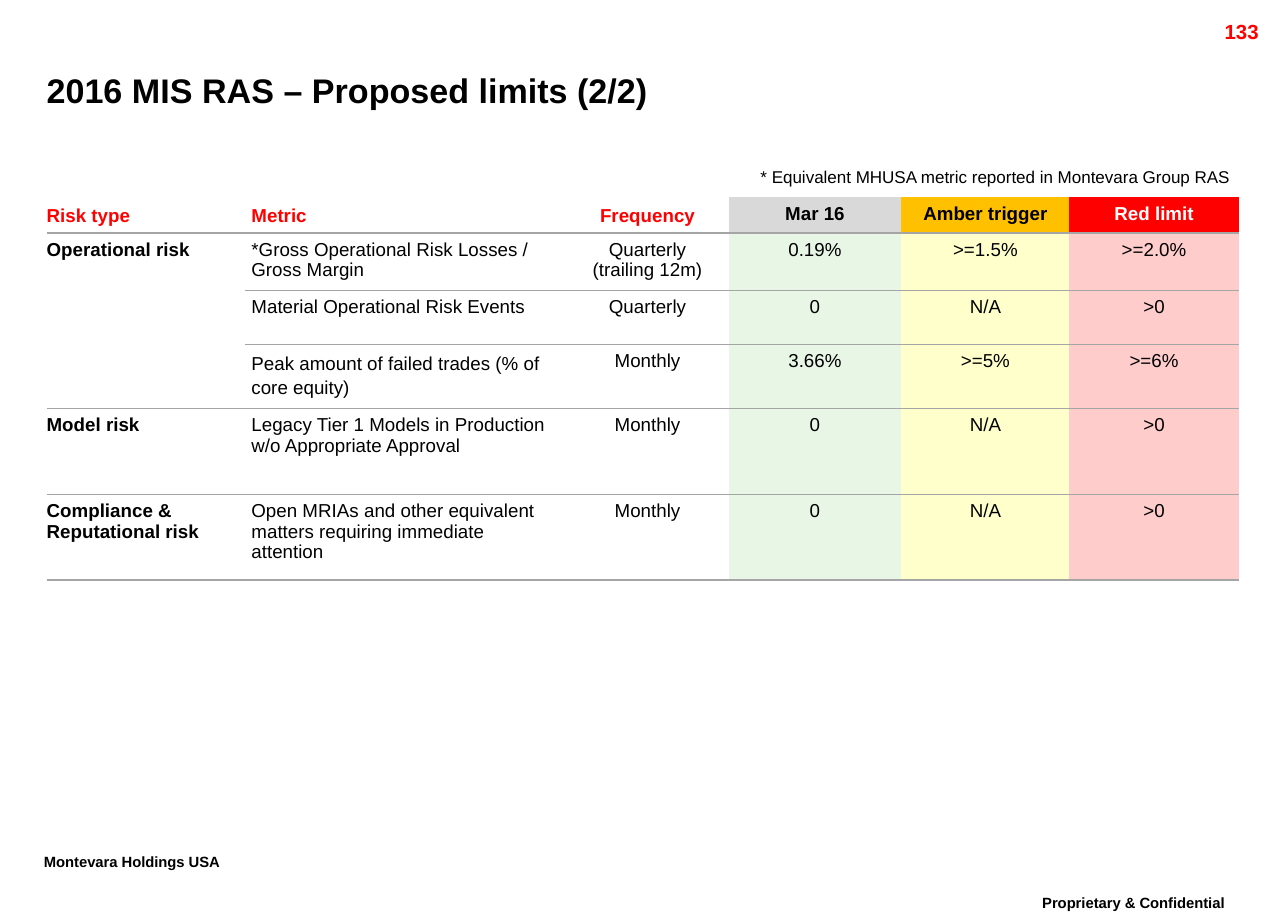
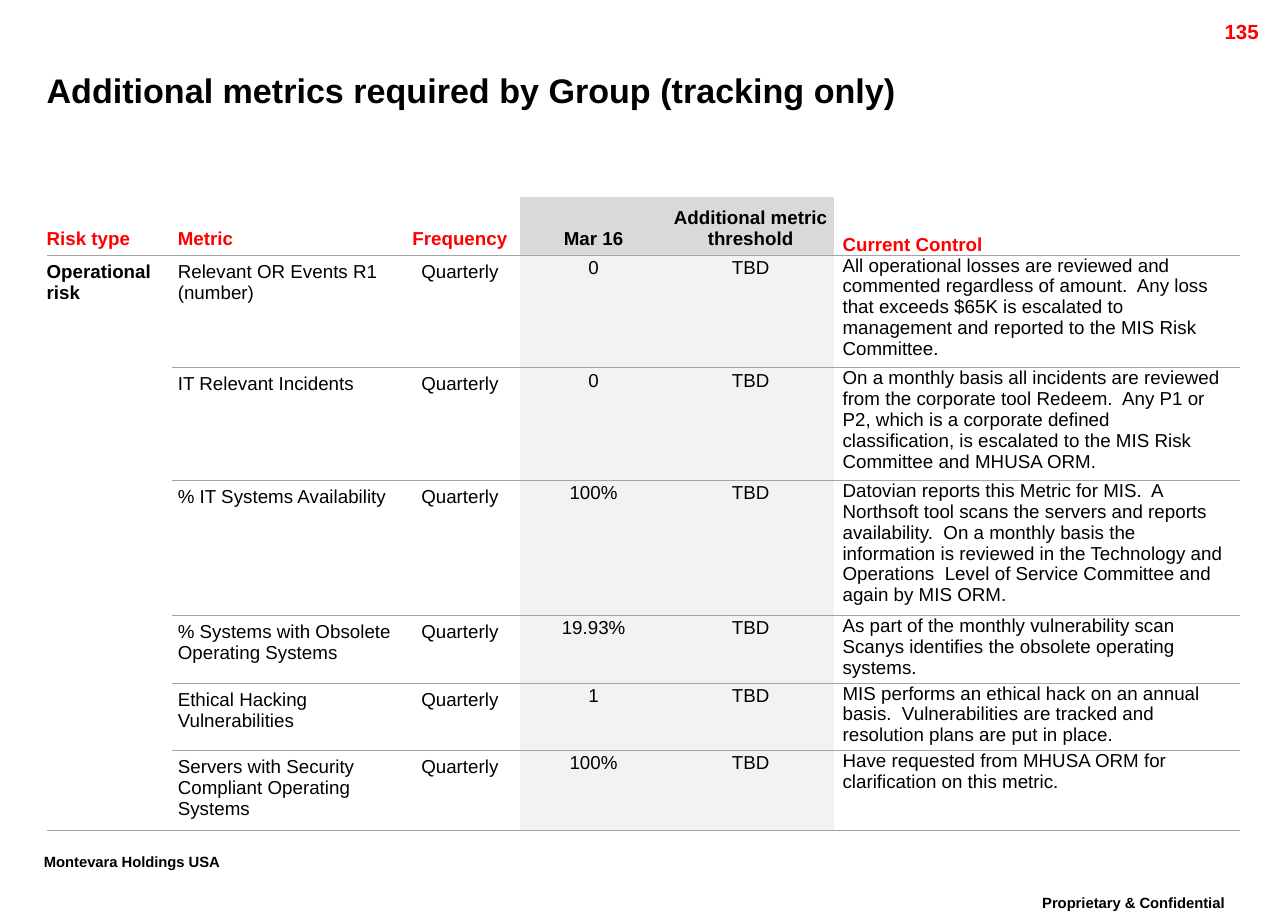
from lxml.etree import SubElement
from pptx import Presentation
from pptx.dml.color import RGBColor
from pptx.enum.text import MSO_ANCHOR, PP_ALIGN
from pptx.oxml.ns import qn
from pptx.util import Inches, Pt

RED, BLACK, WHITE, RULE = "FF0000", "000000", "FFFFFF", "A5A5A5"
GREY, PALE, AMBER = "D9D9D9", "F2F2F2", "FFC000"
GREEN_TINT, YELLOW_TINT, RED_TINT = "E8F6E6", "FFFFCC", "FFCCCC"
LEFT, CENTER, RIGHT = PP_ALIGN.LEFT, PP_ALIGN.CENTER, PP_ALIGN.RIGHT
TOP, MIDDLE, BOTTOM = MSO_ANCHOR.TOP, MSO_ANCHOR.MIDDLE, MSO_ANCHOR.BOTTOM
MARGIN, TABLE_TOP = 0.38, 1.61
INSET, CONTROL_INSET = (0.05, 0.05, 0.05, 0.05), (0.07, 0, 0.07, 0)


def rgb(color):
    return RGBColor.from_string(color)


def write(box, text, size=11, color=BLACK, bold=False, align=LEFT, spacing=1.0,
          anchor=TOP, inset=(0.1, 0.05, 0.1, 0.05), raised=False):
    tf = box.text_frame
    box.margin_left, box.margin_top, box.margin_right, box.margin_bottom = map(Inches, inset)
    box.vertical_anchor = anchor
    for i, line in enumerate(text.split("\n")):
        p = tf.paragraphs[0] if i == 0 else tf.add_paragraph()
        p.alignment, p.line_spacing = align, spacing
        r = p.add_run()
        r.text = line
        r.font.name, r.font.size, r.font.bold = "Arial", Pt(size), bold
        r.font.color.rgb = rgb(color)
        if raised:
            r.font._element.set("baseline", "30000")


limits = dict(
    page="133",
    title="2016 MIS RAS – Proposed limits (2/2)",
    note="* Equivalent MHUSA metric reported in Montevara Group RAS",
    cols=[1.62, 2.62, 1.32, 1.41, 1.37, 1.38],
    heights=[0.29, 0.46, 0.44, 0.52, 0.7, 0.7],
    merge=(1, 3),
    head_fills=[None, None, None, GREY, AMBER, RED],
    head_colors=[RED, RED, RED, BLACK, BLACK, WHITE],
    head_anchors=[BOTTOM] * 3 + [TOP] * 3,
    body_fills=[None, None, None, GREEN_TINT, YELLOW_TINT, RED_TINT],
    aligns=[LEFT, LEFT] + [CENTER] * 4,
    insets=[(0, 0.05, 0.05, 0.05)] + [INSET] * 5,
    spacings=[1.0] * 6,
    special={(3, 1): 1.15},
    rows=[
        ["Risk type", "Metric", "Frequency", "Mar 16", "Amber trigger", "Red limit"],
        ["Operational risk", "*Gross Operational Risk Losses / Gross Margin",
         "Quarterly\n(trailing 12m)", "0.19%", ">=1.5%", ">=2.0%"],
        ["", "Material Operational Risk Events", "Quarterly", "0", "N/A", ">0"],
        ["", "Peak amount of failed trades (% of core equity)",
         "Monthly", "3.66%", ">=5%", ">=6%"],
        ["Model risk", "Legacy Tier 1 Models in Production w/o Appropriate Approval",
         "Monthly", "0", "N/A", ">0"],
        ["Compliance & Reputational risk",
         "Open MRIAs and other equivalent matters requiring immediate attention",
         "Monthly", "0", "N/A", ">0"],
    ],
)

tracking = dict(
    page="135",
    title="Additional metrics required by Group (tracking only)",
    note=None,
    cols=[1.02, 1.86, 0.98, 1.2, 1.36, 3.31],
    heights=[0.47, 0.92, 0.91, 1.1, 0.55, 0.55, 0.65],
    merge=(1, 6),
    head_fills=[None, None, None, GREY, GREY, WHITE],
    head_colors=[RED, RED, RED, BLACK, BLACK, RED],
    head_anchors=[BOTTOM] * 6,
    body_fills=[None, None, None, PALE, PALE, WHITE],
    aligns=[LEFT, LEFT, CENTER, CENTER, CENTER, LEFT],
    insets=[(0, 0.05, 0.05, 0.05)] + [INSET] * 4 + [CONTROL_INSET],
    spacings=[1.0, 1.0, 1.0, Pt(10), Pt(10), 1.0],
    special={},
    rows=[
        ["Risk type", "Metric", "Frequency", "Mar 16", "Additional metric threshold",
         "Current Control"],
        ["Operational risk", "Relevant OR Events R1 (number)", "Quarterly", "0", "TBD",
         "All operational losses are reviewed and commented regardless of amount.  Any loss "
         "that exceeds $65K is escalated to management and reported to the MIS Risk Committee."],
        ["", "IT Relevant Incidents", "Quarterly", "0", "TBD",
         "On a monthly basis all incidents are reviewed from the corporate tool Redeem.  Any P1 "
         "or P2, which is a corporate defined  classification, is escalated to the MIS Risk "
         "Committee and MHUSA ORM."],
        ["", "% IT Systems Availability", "Quarterly", "100%", "TBD",
         "Datovian reports this Metric for MIS.  A Northsoft tool scans the servers and reports "
         "availability.  On a monthly basis the information is reviewed in the Technology and "
         "Operations  Level of Service Committee and  again by MIS ORM."],
        ["", "% Systems with Obsolete Operating Systems", "Quarterly", "19.93%", "TBD",
         "As part of the monthly vulnerability scan Scanys identifies the obsolete operating "
         "systems."],
        ["", "Ethical Hacking Vulnerabilities", "Quarterly", "1", "TBD",
         "MIS performs an ethical hack on an annual basis.  Vulnerabilities are tracked and "
         "resolution plans are put in place."],
        ["", "Servers with Security Compliant Operating Systems", "Quarterly", "100%", "TBD",
         "Have requested from MHUSA ORM for clarification on this metric."],
    ],
)

prs = Presentation()
prs.slide_width, prs.slide_height = Inches(10.5), Inches(7.5)

for d in (limits, tracking):
    s = prs.slides.add_slide(prs.slide_layouts[6])
    footer = dict(size=15, bold=True, spacing=0.86, raised=True)
    texts = [
        ("Proprietary & Confidential", (8.15, 7.25, 2.18, 0.32), dict(footer, align=CENTER)),
        ("Montevara Holdings USA", (0.26, 6.91, 1.91, 0.32), footer),
        (d["page"], (9.36, 0.11, 1, 0.24), dict(size=12, color=RED, bold=True, align=RIGHT)),
        (d["title"], (MARGIN, 0.49, 9.48, 0.48),
         dict(size=20, bold=True, anchor=MIDDLE, inset=(0, 0, 0, 0))),
    ]
    if d["note"]:
        texts.append((d["note"], (6, 1.33, 4.22, 0.25),
                      dict(size=10, align=CENTER, spacing=0.86)))
    for text, at, fmt in texts:
        sp = s.shapes.add_textbox(*map(Inches, at))
        sp.text_frame.word_wrap = True
        inset = fmt.get("inset", (0.1, 0.05, 0.1, 0.05))
        tf = sp.text_frame
        tf.margin_left, tf.margin_top, tf.margin_right, tf.margin_bottom = map(Inches, inset)
        tf.vertical_anchor = fmt.get("anchor", TOP)
        write(sp, text, **fmt)

    rows = d["rows"]
    frame = s.shapes.add_table(len(rows), len(d["cols"]), Inches(MARGIN), Inches(TABLE_TOP),
                               Inches(sum(d["cols"])), Inches(sum(d["heights"])))
    tbl = frame.table
    tbl._tbl.tblPr.find(qn("a:tableStyleId")).text = "{2D5ABB26-0587-4C30-8999-92F81FD0307C}"
    tbl.horz_banding = False
    for col, width in zip(tbl.columns, d["cols"]):
        col.width = Inches(width)
    for row, height in zip(tbl.rows, d["heights"]):
        row.height = Inches(height)
    first, last = d["merge"]
    tbl.cell(first, 0).merge(tbl.cell(last, 0))

    for i, row in enumerate(rows):
        for j, text in enumerate(row):
            cell = tbl.cell(i, j)
            if cell.is_spanned:
                continue
            head = i == 0
            write(cell, text, bold=head or j == 0,
                  color=d["head_colors"][j] if head else BLACK,
                  anchor=d["head_anchors"][j] if head else TOP,
                  align=d["aligns"][j], inset=d["insets"][j],
                  spacing=1.0 if head else d["special"].get((i, j), d["spacings"][j]))
            fill = d["head_fills" if head else "body_fills"][j]
            if fill:
                cell.fill.solid()
                cell.fill.fore_color.rgb = rgb(fill)
            else:
                cell.fill.background()
            tcPr = cell._tc.get_or_add_tcPr()
            ln = SubElement(tcPr, qn("a:lnB"), w=str(Pt(0.75)))
            SubElement(SubElement(ln, qn("a:solidFill")), qn("a:srgbClr"), val=RULE)
            tcPr.insert(0, ln)

prs.save("out.pptx")
